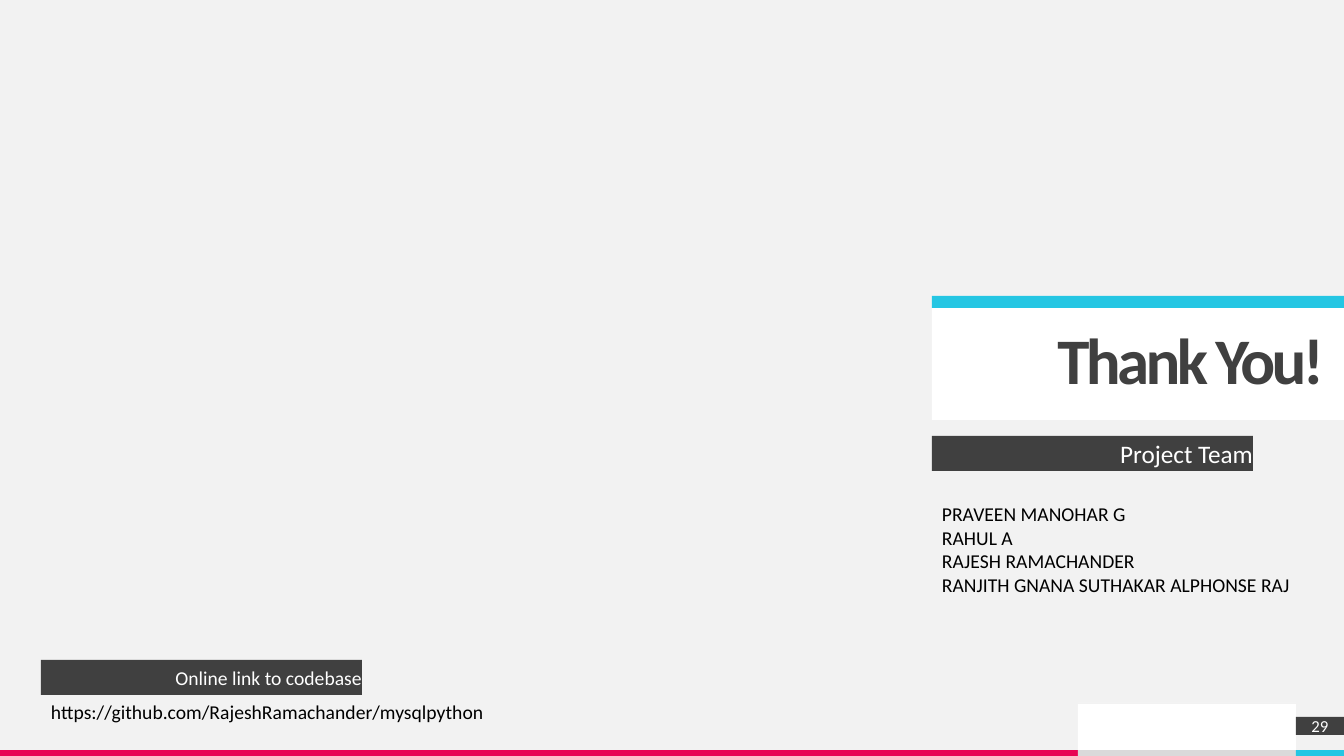
from lxml import etree
from pptx import Presentation
from pptx.dml.color import RGBColor
from pptx.enum.shapes import MSO_CONNECTOR, MSO_SHAPE
from pptx.enum.text import MSO_ANCHOR, PP_ALIGN
from pptx.oxml.ns import qn
from pptx.util import Pt

RECT, STRAIGHT = MSO_SHAPE.RECTANGLE, MSO_CONNECTOR.STRAIGHT
TOP, MIDDLE = MSO_ANCHOR.TOP, MSO_ANCHOR.MIDDLE
LEFT, CENTER, RIGHT = PP_ALIGN.LEFT, PP_ALIGN.CENTER, PP_ALIGN.RIGHT

PX = 914400 / 100.8
WIDTH, HEIGHT = 1344, 756
FONT = "Calibri"
PALE, WHITE, DARK, BLACK = "F2F2F2", "FFFFFF", "404040", "000000"
CYAN, PINK, GREY = "25C6E3", "E80554", "DADADA"

TITLE = "Thank You!"
TITLE_BOX = (932, 308, 412, 112)
FOOTER_TOP, STRIP_TOP = 703, 750
FOOTER_EDGES = (0, 1078, 1296, WIDTH)
FOOTER_FILLS = (PALE, WHITE)
STRIP_FILLS = (PINK, GREY, CYAN)

# text, box, size in points, alignment
LABELS = [
    ("Project Team", (932, 436, 321, 35), 18, RIGHT),
    ("Online link to codebase", (41, 660, 321, 35), 14, RIGHT),
    ("29", (1296, 717, 48, 18), 12, CENTER),
]
# lines, box
NOTES = [
    (["PRAVEEN MANOHAR G", "RAHUL A", "RAJESH RAMACHANDER",
      "RANJITH GNANA SUTHAKAR ALPHONSE RAJ"], (937, 497, 374, 107)),
    (["https://github.com/RajeshRamachander/mysqlpython"], (46, 695, 662, 31)),
]


def px(n):
    return round(n * PX)


def color(hex_string):
    return RGBColor.from_string(hex_string)


def paint(sp, fill):
    sp.fill.solid()
    sp.fill.fore_color.rgb = color(fill)


def add_rect(s, box, fill):
    sp = s.shapes.add_shape(RECT, *map(px, box))
    sp.shadow.inherit = False
    paint(sp, fill)
    sp.line.fill.background()
    return sp


def write(sp, lines, size, ink, align, anchor, inset, bold=False):
    tf = sp.text_frame
    tf.word_wrap = True
    tf.vertical_anchor = anchor
    tf.margin_left = tf.margin_right = tf.margin_top = tf.margin_bottom = px(inset)
    tf.text = "\n".join(lines)
    for p in tf.paragraphs:
        p.alignment = align
        p.font.name, p.font.size, p.font.bold = FONT, Pt(size), bold
        p.font.color.rgb = color(ink)


def add_footer(s):
    spans = list(zip(FOOTER_EDGES, FOOTER_EDGES[1:]))
    for (left, right), fill in zip(spans, FOOTER_FILLS):
        add_rect(s, (left, FOOTER_TOP, right - left, STRIP_TOP - FOOTER_TOP), fill)
    rule = s.shapes.add_connector(STRAIGHT, *map(px, (WIDTH, FOOTER_TOP, 0, FOOTER_TOP)))
    rule.line.color.rgb = color(PALE)
    rule.line.width = Pt(0.5)
    etree.SubElement(rule._element.spPr, qn("a:effectLst"))
    for (left, right), fill in zip(spans, STRIP_FILLS):
        add_rect(s, (left, STRIP_TOP, right - left, HEIGHT - STRIP_TOP), fill)


def add_title(s):
    left, top, width, height = TITLE_BOX
    add_rect(s, (left, top - 12, width, 12), CYAN)
    sp = s.shapes.title
    sp.left, sp.top, sp.width, sp.height = map(px, TITLE_BOX)
    paint(sp, WHITE)
    write(sp, [TITLE], 46.4, DARK, RIGHT, TOP, 20, bold=True)
    p = sp.text_frame.paragraphs[0]
    p.line_spacing = 0.9
    p.runs[0].font._element.set("spc", "-260")


def main():
    prs = Presentation()
    prs.slide_width, prs.slide_height = px(WIDTH), px(HEIGHT)
    s = prs.slides.add_slide(prs.slide_layouts[5])
    s.background.fill.solid()
    s.background.fill.fore_color.rgb = color(PALE)
    add_footer(s)
    add_title(s)
    for text, box, size, align in LABELS:
        write(add_rect(s, box, DARK), [text], size, WHITE, align, MIDDLE, 0)
    for lines, box in NOTES:
        write(s.shapes.add_textbox(*map(px, box)), lines, 14, BLACK, LEFT, TOP, 5)
    prs.save("out.pptx")


if __name__ == "__main__":
    main()
